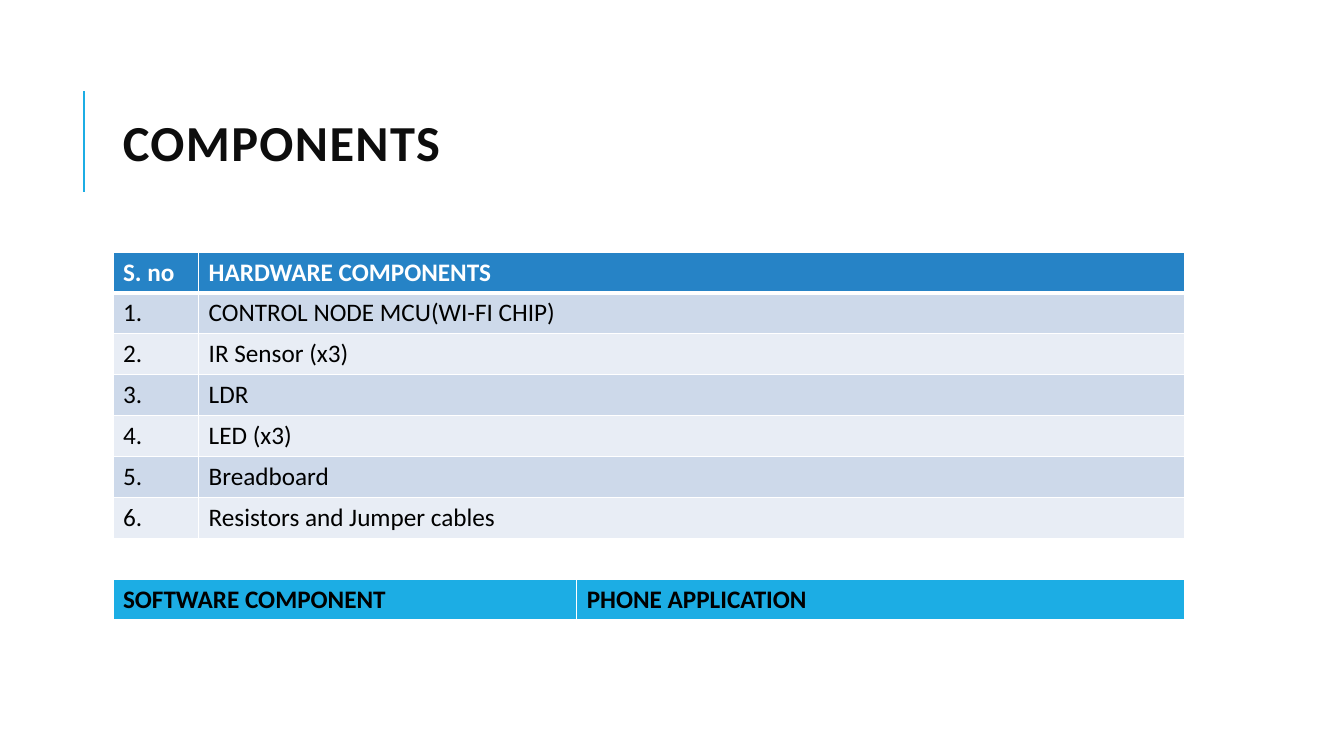
from lxml.etree import SubElement
from pptx import Presentation
from pptx.dml.color import RGBColor
from pptx.enum.shapes import MSO_CONNECTOR
from pptx.enum.text import MSO_ANCHOR
from pptx.oxml import parse_xml
from pptx.oxml.ns import nsdecls, qn
from pptx.util import Inches, Pt

COLORS = {
    "accent": "1CADE4",
    "header": "2683C6",
    "odd": "CDD9EA",
    "even": "E8EDF5",
    "white": "FFFFFF",
    "black": "000000",
    "title": "0D0D0D",
}
FONT = "Calibri"
LEFT = 1.12
WIDTH = 10.63
ROW = 0.406
HARDWARE = [
    "CONTROL NODE MCU(WI-FI CHIP)",
    "IR Sensor (x3)",
    "LDR",
    "LED (x3)",
    "Breadboard",
    "Resistors and Jumper cables",
]


def color(name):
    return RGBColor.from_string(COLORS[name])


def style_text(paragraph, size, ink, bold):
    for span in paragraph.runs:
        span.font.name = FONT
        span.font.size = Pt(size)
        span.font.bold = bold
        span.font.color.rgb = color(ink)


def add_rule(page, x, top, bottom):
    rule = page.shapes.add_connector(
        MSO_CONNECTOR.STRAIGHT, Inches(x), Inches(bottom), Inches(x), Inches(top)
    )
    rule.line.color.rgb = color("accent")
    rule.line.width = Pt(1.5)
    SubElement(rule._element.spPr, qn("a:effectLst"))


def add_title(page, text):
    box = page.shapes.add_textbox(
        Inches(LEFT), Inches(0.64), Inches(WIDTH), Inches(1.64)
    )
    frame = box.text_frame
    frame.word_wrap = True
    frame.vertical_anchor = MSO_ANCHOR.MIDDLE
    frame.text = text
    para = frame.paragraphs[0]
    para.line_spacing = 0.8
    style_text(para, 36, "title", True)
    para.runs[0].font._element.set("spc", "100")


def set_borders(cell, bottom):
    properties = cell._tc.get_or_add_tcPr()
    widths = {"lnL": 1, "lnR": 1, "lnT": 1, "lnB": bottom}
    for position, (side, width) in enumerate(widths.items()):
        border = parse_xml(
            f'<a:{side} {nsdecls("a")} w="{Pt(width)}"><a:solidFill>'
            f'<a:srgbClr val="{COLORS["white"]}"/></a:solidFill></a:{side}>'
        )
        properties.insert(position, border)


def style_cell(cell, text, fill, ink, heading):
    cell.text = text
    cell.fill.solid()
    cell.fill.fore_color.rgb = color(fill)
    style_text(cell.text_frame.paragraphs[0], 18, ink, heading)
    set_borders(cell, 3 if heading else 1)


def add_grid(page, top, widths, rows, fill, ink):
    table = page.shapes.add_table(
        len(rows), len(widths), Inches(LEFT), Inches(top),
        Inches(WIDTH), Inches(ROW * len(rows)),
    ).table
    for column, width in zip(table.columns, widths):
        column.width = Inches(width)
    for index, texts in enumerate(rows):
        heading = index == 0
        band = fill if heading else ("odd" if index % 2 else "even")
        for cell, text in zip(table.rows[index].cells, texts):
            style_cell(cell, text, band, ink if heading else "black", heading)
            if index == 1:
                cell._tc.tcPr.find(qn("a:lnT")).set("w", str(Pt(3)))


def main():
    deck = Presentation()
    deck.slide_width = Inches(13.33)
    deck.slide_height = Inches(7.5)
    page = deck.slides.add_slide(deck.slide_layouts[6])
    add_rule(page, 0.83, 0.9, 1.9)
    add_title(page, "COMPONENTS")
    hardware = [("S. no", "HARDWARE COMPONENTS")]
    hardware += [(f"{number}.", name) for number, name in enumerate(HARDWARE, 1)]
    add_grid(page, 2.5, (0.85, 9.78), hardware, "header", "white")
    software = [("SOFTWARE COMPONENT", "PHONE APPLICATION")]
    add_grid(page, 5.75, (4.6, 6.03), software, "accent", "black")
    deck.save("out.pptx")


if __name__ == "__main__":
    main()
